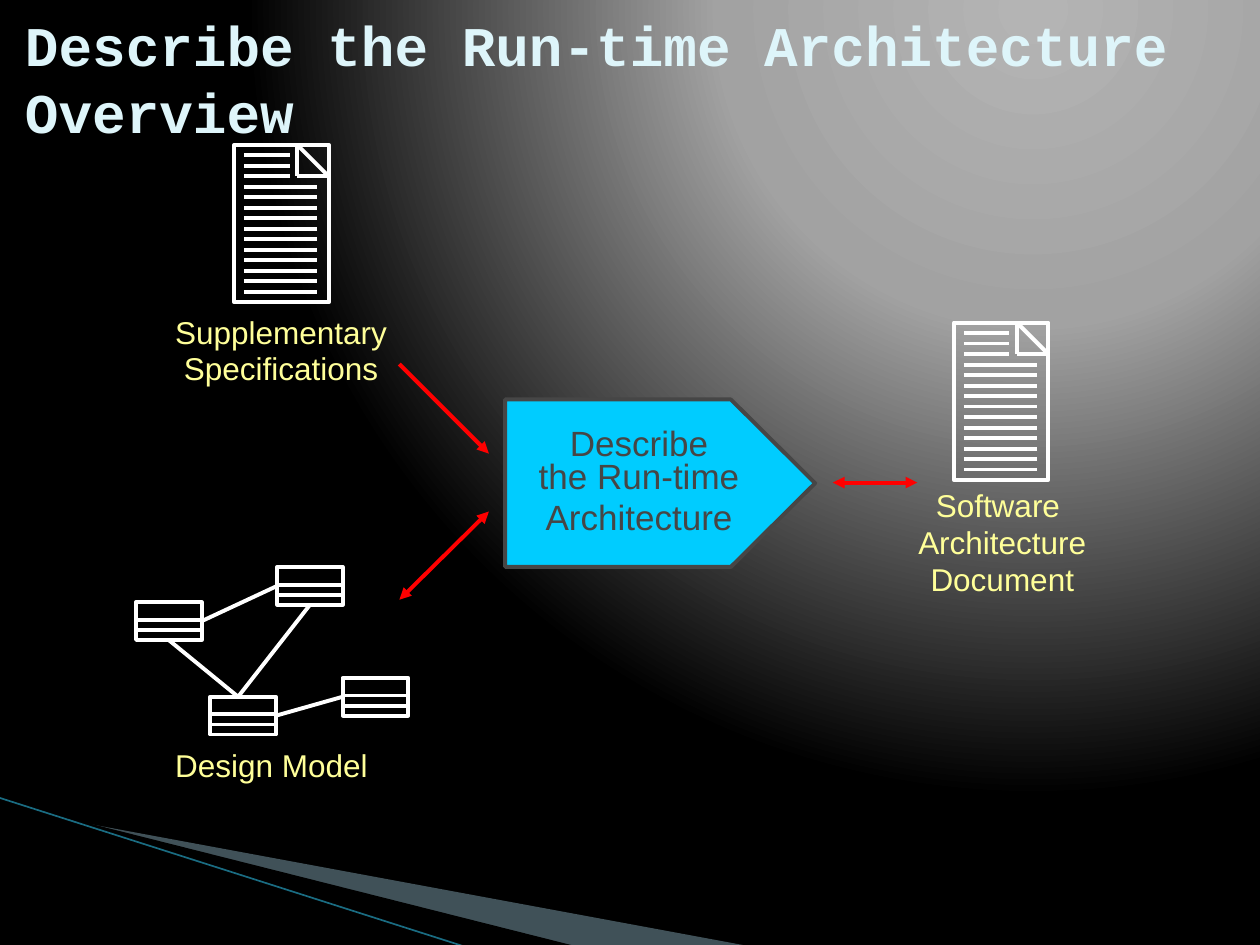
from lxml.etree import SubElement
from pptx import Presentation
from pptx.dml.color import RGBColor
from pptx.enum.shapes import MSO_CONNECTOR, MSO_SHAPE
from pptx.enum.text import MSO_ANCHOR, PP_ALIGN
from pptx.oxml import parse_xml
from pptx.oxml.ns import nsdecls, qn
from pptx.util import Inches, Pt

BLACK = RGBColor(0x00, 0x00, 0x00)
WHITE = RGBColor(0xFF, 0xFF, 0xFF)
RED = RGBColor(0xFF, 0x00, 0x00)
CYAN = RGBColor(0x00, 0xCC, 0xFF)
DARK_GRAY = RGBColor(0x46, 0x46, 0x46)
PALE_YELLOW = RGBColor(0xFF, 0xFF, 0x99)
TITLE_BLUE = RGBColor(0xDE, 0xF5, 0xFA)
WEDGE_BLUE = RGBColor(0xA0, 0xCB, 0xDC)
EDGE_TEAL = RGBColor(0x1A, 0x6C, 0x82)


def add_line(shapes, start, end, color=WHITE, width=2.25, arrows=()):
    """Draw a straight line; arrows lists the ends, headEnd before tailEnd."""
    line = shapes.add_connector(MSO_CONNECTOR.STRAIGHT, *map(Inches, start + end))
    line.line.color.rgb = color
    line.line.width = Pt(width)
    properties = line._element.spPr
    for arrow in arrows:
        SubElement(properties.find(qn("a:ln")), qn(f"a:{arrow}"), type="triangle")
    SubElement(properties, qn("a:effectLst"))
    return line


def write_centered(shape, paragraphs, size, color):
    """Fill a shape with tight centred paragraphs; a newline is a line break."""
    frame = shape.text_frame
    frame.word_wrap = False
    frame.margin_left = frame.margin_right = Inches(0.02)
    for index, text in enumerate(paragraphs):
        paragraph = frame.add_paragraph() if index else frame.paragraphs[0]
        paragraph.alignment = PP_ALIGN.CENTER
        paragraph.line_spacing = 0.8
        paragraph.space_before = Pt(size * 0.2)
        for row, part in enumerate(text.split("\n")):
            if row:
                paragraph.add_line_break()
            run = paragraph.add_run()
            run.text = part
            run.font.name = "Arial"
            run.font.size = Pt(size)
            run.font.color.rgb = color


presentation = Presentation()
presentation.slide_width = Inches(10)
presentation.slide_height = Inches(7.5)
slide = presentation.slides.add_slide(presentation.slide_layouts[6])

# Background: a circular glow from the upper right
stops = "".join(
    f'<a:gs pos="{position * 1000}"><a:srgbClr val="{color}"/></a:gs>'
    for position, color in ((0, "B4B4B4"), (40, "A2A2A2"), (100, "000000"))
)
slide.background.fill.solid()
background = slide._element.cSld.find(qn("p:bg")).find(qn("p:bgPr"))
background.replace(background[0], parse_xml(
    f'<a:gradFill {nsdecls("a")} rotWithShape="1"><a:gsLst>{stops}</a:gsLst>'
    '<a:path path="circle"><a:fillToRect l="65000" t="0" r="0" b="98000"/></a:path>'
    "</a:gradFill>"
))

# Decorative wedges at the bottom
wedges = [
    (WEDGE_BLUE, [(0.55, 6.51), (5.95, 7.51), (4.56, 7.51), (0.55, 6.5)]),
    (BLACK, [(0.53, 6.49), (4.57, 7.51), (3.72, 7.52), (0.54, 6.5)]),
]
for color, points in wedges:
    corners = [(Inches(x), Inches(y)) for x, y in points]
    builder = slide.shapes.build_freeform(*corners[0])
    builder.add_line_segments(corners[1:])
    wedge = builder.convert_to_shape()
    wedge.shadow.inherit = False
    wedge.fill.solid()
    wedge.fill.fore_color.rgb = color
    wedge.line.fill.background()
    if color == WEDGE_BLUE:
        SubElement(wedge._element.spPr.find(qn("a:solidFill"))[0], qn("a:alpha"), val="40000")
add_line(slide.shapes, (-0.01, 6.33), (3.71, 7.52), EDGE_TEAL, 0.95)

# Title
title = slide.shapes.add_textbox(Inches(0.1), Inches(-0.01), Inches(10.04), Inches(1.25))
title.text_frame.word_wrap = True
title.text_frame.vertical_anchor = MSO_ANCHOR.MIDDLE
run = title.text_frame.paragraphs[0].add_run()
run.text = "Describe the Run-time Architecture Overview"
run.font.name = "Courier New"
run.font.size = Pt(32)
run.font.bold = True
run.font.color.rgb = TITLE_BLUE

# Activity
activity = slide.shapes.add_shape(
    MSO_SHAPE.PENTAGON, Inches(4.01), Inches(3.17), Inches(2.46), Inches(1.33))
activity.adjustments[0] = 0.503
activity.shadow.inherit = False
activity.fill.solid()
activity.fill.fore_color.rgb = CYAN
activity.line.color.rgb = DARK_GRAY
activity.line.width = Pt(2.25)
activity.text_frame.vertical_anchor = MSO_ANCHOR.MIDDLE
write_centered(activity, ["Describe\nthe Run-time", "Architecture"], 20, DARK_GRAY)

# Documents: page with a folded corner, text lines and a label
documents = [
    (1.86, 1.15, (1.29, 2.49, 1.88, 0.7), ["Supplementary", "Specifications"]),
    (7.57, 2.56, (7.19, 3.87, 1.53, 1), ["Software ", "Architecture", "Document"]),
]
PAGE_WIDTH, PAGE_HEIGHT, FOLD = 0.75, 1.25, 0.25
LINE_COUNT, SHORT_LINES = 14, 3
LINE_GAP = PAGE_HEIGHT / (LINE_COUNT + 1)
for left, top, label_box, label_lines in documents:
    shapes = slide.shapes.add_group_shape().shapes
    page = shapes.add_shape(
        MSO_SHAPE.RECTANGLE, *map(Inches, (left, top, PAGE_WIDTH, PAGE_HEIGHT)))
    page.shadow.inherit = False
    page.fill.background()
    page.line.color.rgb = WHITE
    page.line.width = Pt(2.25)
    fold_left, right = left + PAGE_WIDTH - FOLD, left + PAGE_WIDTH
    add_line(shapes, (fold_left, top), (right, top + FOLD))
    add_line(shapes, (fold_left, top), (fold_left, top + FOLD))
    add_line(shapes, (right, top + FOLD), (fold_left, top + FOLD))
    for number in range(1, LINE_COUNT + 1):
        y = top + number * LINE_GAP
        length = 0.36 if number <= SHORT_LINES else 0.58
        add_line(shapes, (left + 0.08, y), (left + 0.08 + length, y))
    label = shapes.add_textbox(*map(Inches, label_box))
    write_centered(label, label_lines, 18, PALE_YELLOW)

# Design model: four linked classes and a label
CLASS_WIDTH, CLASS_HEIGHT = 0.52, 0.3
TOP, LEFT, BOTTOM, RIGHT = range(4)
model = slide.shapes.add_group_shape().shapes
classes = []
for left, top in ((1.08, 4.78), (2.2, 4.5), (1.67, 5.53), (2.72, 5.38)):
    class_box = model.add_shape(
        MSO_SHAPE.RECTANGLE, *map(Inches, (left, top, CLASS_WIDTH, CLASS_HEIGHT)))
    class_box.shadow.inherit = False
    class_box.fill.background()
    class_box.line.color.rgb = WHITE
    class_box.line.width = Pt(2.25)
    for offset in (0.14, 0.22):
        add_line(model, (left, top + offset), (left + CLASS_WIDTH, top + offset))
    classes.append(class_box)
west, north, south, east = classes

# The two links that meet on top of the south class start left of its middle
links = [
    ((1.89, 5.53), (1.34, 5.08), None, (west, BOTTOM)),
    ((1.6, 4.93), (2.2, 4.65), (west, RIGHT), (north, LEFT)),
    ((2.19, 5.68), (2.72, 5.53), (south, RIGHT), (east, LEFT)),
    ((1.89, 5.53), (2.46, 4.8), None, (north, BOTTOM)),
]
for start, end, source, target in links:
    link = add_line(model, start, end)
    if source:
        link.begin_connect(*source)
    link.end_connect(*target)
model_label = model.add_textbox(Inches(1.29), Inches(5.93), Inches(1.73), Inches(0.4))
write_centered(model_label, ["Design Model"], 18, PALE_YELLOW)

# Flows between the artifacts and the activity
BOTH_ENDS = ("headEnd", "tailEnd")
flows = [
    ((6.61, 3.83), (7.28, 3.83), BOTH_ENDS),
    ((3.17, 4.76), (3.88, 4.06), BOTH_ENDS),
    ((3.17, 2.89), (3.88, 3.6), ("tailEnd",)),
]
for start, end, arrows in flows:
    add_line(slide.shapes, start, end, RED, arrows=arrows)

presentation.save("out.pptx")
